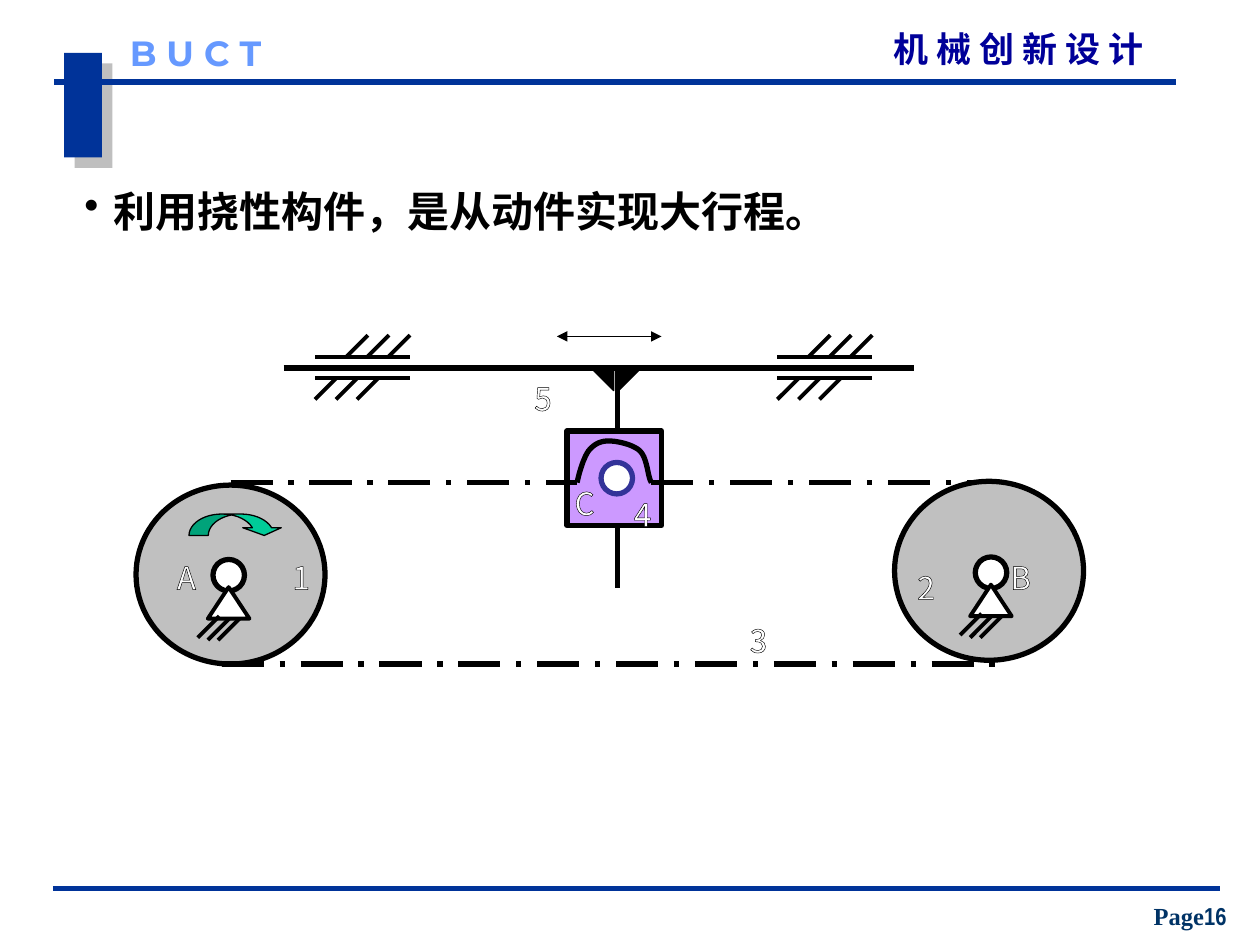
"""Build a slide showing a belt-driven mechanism that gives its follower a long stroke."""
from dataclasses import dataclass

from lxml.etree import SubElement
from pptx import Presentation
from pptx.dml.color import RGBColor
from pptx.enum.dml import MSO_LINE
from pptx.enum.shapes import MSO_CONNECTOR, MSO_SHAPE
from pptx.enum.text import MSO_ANCHOR, PP_ALIGN
from pptx.oxml.ns import qn
from pptx.util import Inches, Pt


@dataclass(frozen=True)
class Theme:
    navy: RGBColor = RGBColor(0x00, 0x33, 0x99)
    course: RGBColor = RGBColor(0x00, 0x00, 0x99)
    school: RGBColor = RGBColor(0x66, 0x99, 0xFF)
    page: RGBColor = RGBColor(0x00, 0x33, 0x66)
    black: RGBColor = RGBColor(0x00, 0x00, 0x00)
    white: RGBColor = RGBColor(0xFF, 0xFF, 0xFF)
    slider: RGBColor = RGBColor(0xCC, 0x99, 0xFF)
    pin: RGBColor = RGBColor(0x33, 0x33, 0x99)
    wheel: RGBColor = RGBColor(0xC0, 0xC0, 0xC0)
    rotation: RGBColor = RGBColor(0x00, 0xCC, 0x99)
    title_size: int = 24
    header_size: int = 20
    label_size: int = 18
    page_size: int = 14
    thick: float = 3
    medium: float = 2.25
    thin: float = 0.75
    cjk: str = "Noto Sans CJK SC"
    latin: str = "Times New Roman"
    narrow: str = "Arial Narrow"
    display: str = "Montserrat"


theme = Theme()
prs = Presentation()
prs.slide_width, prs.slide_height = Inches(10), Inches(7.5)
slide = prs.slides.add_slide(prs.slide_layouts[6])


def draw_line(x1, y1, x2, y2, weight=theme.thick, color=theme.black, dash=None):
    line = slide.shapes.add_connector(
        MSO_CONNECTOR.STRAIGHT, Inches(x1), Inches(y1), Inches(x2), Inches(y2))
    line.line.color.rgb = color
    line.line.width = Pt(weight)
    if dash:
        line.line.dash_style = dash
    SubElement(line._element.spPr, qn("a:effectLst"))
    return line


def draw_shape(kind, left, top, width, height, fill, weight=theme.thick, outline=theme.black):
    shape = slide.shapes.add_shape(
        kind, Inches(left), Inches(top), Inches(width), Inches(height))
    shape.shadow.inherit = False
    shape.fill.solid()
    shape.fill.fore_color.rgb = fill
    if weight:
        shape.line.color.rgb = outline
        shape.line.width = Pt(weight)
    else:
        shape.line.fill.background()
    return shape


header_block = draw_shape(MSO_SHAPE.RECTANGLE, 0.51, 0.42, 0.3, 0.83, theme.navy, weight=0)
shadow = SubElement(header_block._element.spPr.find(qn("a:effectLst")), qn("a:outerShdw"),
                    dist=str(Pt(8.5)), dir="2700000", algn="ctr", rotWithShape="0")
shadow_color = SubElement(shadow, qn("a:srgbClr"), val="808080")
SubElement(shadow_color, qn("a:alpha"), val="50000")
draw_line(0.43, 0.65, 9.33, 0.65, color=theme.navy)
draw_line(0.42, 7.05, 9.68, 7.05, color=theme.navy)

draw_shape(MSO_SHAPE.RECTANGLE, 4.5, 3.42, 0.75, 0.75, theme.slider)
draw_shape(MSO_SHAPE.OVAL, 4.77, 3.67, 0.25, 0.25, theme.white, outline=theme.pin)

arch_curves = [
    ((4.58, 3.83), (4.6, 3.74), (4.63, 3.64), (4.67, 3.58)),
    ((4.67, 3.58), (4.71, 3.53), (4.76, 3.5), (4.83, 3.5)),
    ((4.83, 3.5), (4.9, 3.5), (5.03, 3.53), (5.08, 3.58)),
    ((5.08, 3.58), (5.14, 3.64), (5.14, 3.79), (5.17, 3.83)),
]
arch_points = []
for curve in arch_curves:
    for step in range(1, 11):
        t = step / 10
        weights = ((1 - t) ** 3, 3 * t * (1 - t) ** 2, 3 * t ** 2 * (1 - t), t ** 3)
        arch_points.append(tuple(
            Inches(sum(w * point[axis] for w, point in zip(weights, curve))) for axis in (0, 1)))
arch_builder = slide.shapes.build_freeform(Inches(4.58), Inches(3.83))
arch_builder.add_line_segments(arch_points, close=False)
arch = arch_builder.convert_to_shape()
arch.shadow.inherit = False
arch.fill.background()
arch.line.color.rgb = theme.black
arch.line.width = Pt(theme.thick)

for belt_start, belt_end in ((1.83, 4.58), (5.17, 7.92)):
    draw_line(belt_start, 3.83, belt_end, 3.83, dash=MSO_LINE.LONG_DASH_DOT)
for wheel_left, wheel_top in ((1.08, 3.85), (7.1, 3.82)):
    draw_shape(MSO_SHAPE.OVAL, wheel_left, wheel_top, 1.5, 1.42, theme.wheel)
draw_line(1.76, 5.27, 7.93, 5.27, dash=MSO_LINE.LONG_DASH_DOT)

for rod_top in (2.92, 4.17):
    draw_line(4.9, rod_top, 4.9, rod_top + 0.5)
draw_line(2.25, 2.92, 7.25, 2.92)
for gusset_left, gusset_top, turn in ((4.92, 2.92, 90), (4.7, 2.93, 180)):
    gusset = draw_shape(MSO_SHAPE.RIGHT_TRIANGLE, gusset_left, gusset_top, 0.17, 0.17,
                        theme.black, theme.thin)
    gusset.rotation = turn

hatch = 0.17
for pivot_x, pivot_y in ((1.82, 4.66), (7.87, 4.64)):
    draw_shape(MSO_SHAPE.OVAL, pivot_x - 0.13, pivot_y - 0.22, 0.25, 0.25, theme.white)
    draw_shape(MSO_SHAPE.ISOSCELES_TRIANGLE, pivot_x - 0.17, pivot_y, 0.33, 0.25,
               theme.white, theme.medium)
    for dx, dy in ((-0.08, 0.23), (0, 0.25), (0.08, 0.25)):
        draw_line(pivot_x + dx, pivot_y + dy, pivot_x + dx - hatch, pivot_y + dy + hatch,
                  theme.medium)

for guide_left in (2.5, 6.17):
    for guide_y, first_hatch, direction in ((2.83, 0.25, 1), (3, 0.17, -1)):
        draw_line(guide_left, guide_y, guide_left + 0.75, guide_y, theme.medium)
        for index in range(3):
            x = guide_left + first_hatch + index / 6
            draw_line(x, guide_y, x + direction * hatch, guide_y - direction * hatch,
                      theme.medium)

rotation_arrow = draw_shape(MSO_SHAPE.CURVED_DOWN_ARROW, 1.5, 4.08, 0.75, 0.17,
                            theme.rotation, theme.thin)
for index, value in enumerate((0.9, 1.8, 0.36)):
    rotation_arrow.adjustments[index] = value

stroke_arrow = draw_line(4.42, 2.67, 5.25, 2.67, theme.thin)
for end in ("a:headEnd", "a:tailEnd"):
    SubElement(stroke_arrow.line._get_or_add_ln(), qn(end), type="triangle")

texts = [
    ([("机 械 创 新 设 计", theme.cjk)], 5.44, 0.22, 3.64, 0.4,
     theme.header_size, theme.course, PP_ALIGN.RIGHT),
    ([("B U C T", theme.display)], 1.03, 0.25, 1.42, 0.33,
     theme.header_size, theme.school, PP_ALIGN.LEFT),
    ([("Page", theme.latin), ("16", theme.narrow)], 8.97, 7.15, 0.95, 0.25,
     theme.page_size, theme.page, PP_ALIGN.CENTER),
    ([("利用挠性构件，是从动件实现大行程。", theme.latin)], 0.67, 1.47, 6.22, 0.5,
     theme.title_size, theme.black, PP_ALIGN.LEFT),
]
label_spots = [("A", 1.48, 4.42), ("B", 8.1, 4.42), ("C", 4.64, 3.83), ("1", 2.39, 4.42),
               ("2", 7.35, 4.5), ("3", 6.02, 4.92), ("4", 5.1, 3.92), ("5", 4.31, 3)]
for label, center, top in label_spots:
    texts.append(([(label, theme.cjk)], center - 0.15, top + 0.01, 0.3, 0.36,
                  theme.label_size, theme.white, PP_ALIGN.CENTER))

for pieces, left, top, width, height, size, color, align in texts:
    frame = slide.shapes.add_textbox(
        Inches(left), Inches(top), Inches(width), Inches(height)).text_frame
    frame.margin_left = frame.margin_right = frame.margin_top = frame.margin_bottom = 0
    frame.word_wrap = True
    frame.vertical_anchor = MSO_ANCHOR.TOP
    paragraph = frame.paragraphs[0]
    paragraph.alignment = align
    if size == theme.title_size:
        bullet = paragraph._p.get_or_add_pPr()
        bullet.set("marL", str(Inches(0.23)))
        bullet.set("indent", str(Inches(-0.23)))
        SubElement(bullet, qn("a:buChar"), char="•")
    for piece, face in pieces:
        run = paragraph.add_run()
        run.text = piece
        run.font.size = Pt(size)
        run.font.bold = size != theme.label_size
        run.font.color.rgb = color
        run.font.name = face
        SubElement(run.font._element, qn("a:ea"), typeface=theme.cjk)
        if size == theme.label_size:
            glyph_outline = SubElement(run.font._element, qn("a:ln"), w=str(Pt(theme.thin)))
            outline_fill = SubElement(glyph_outline, qn("a:solidFill"))
            SubElement(outline_fill, qn("a:srgbClr"), val=str(theme.black))
            run.font._element.insert(0, glyph_outline)

prs.save("out.pptx")
